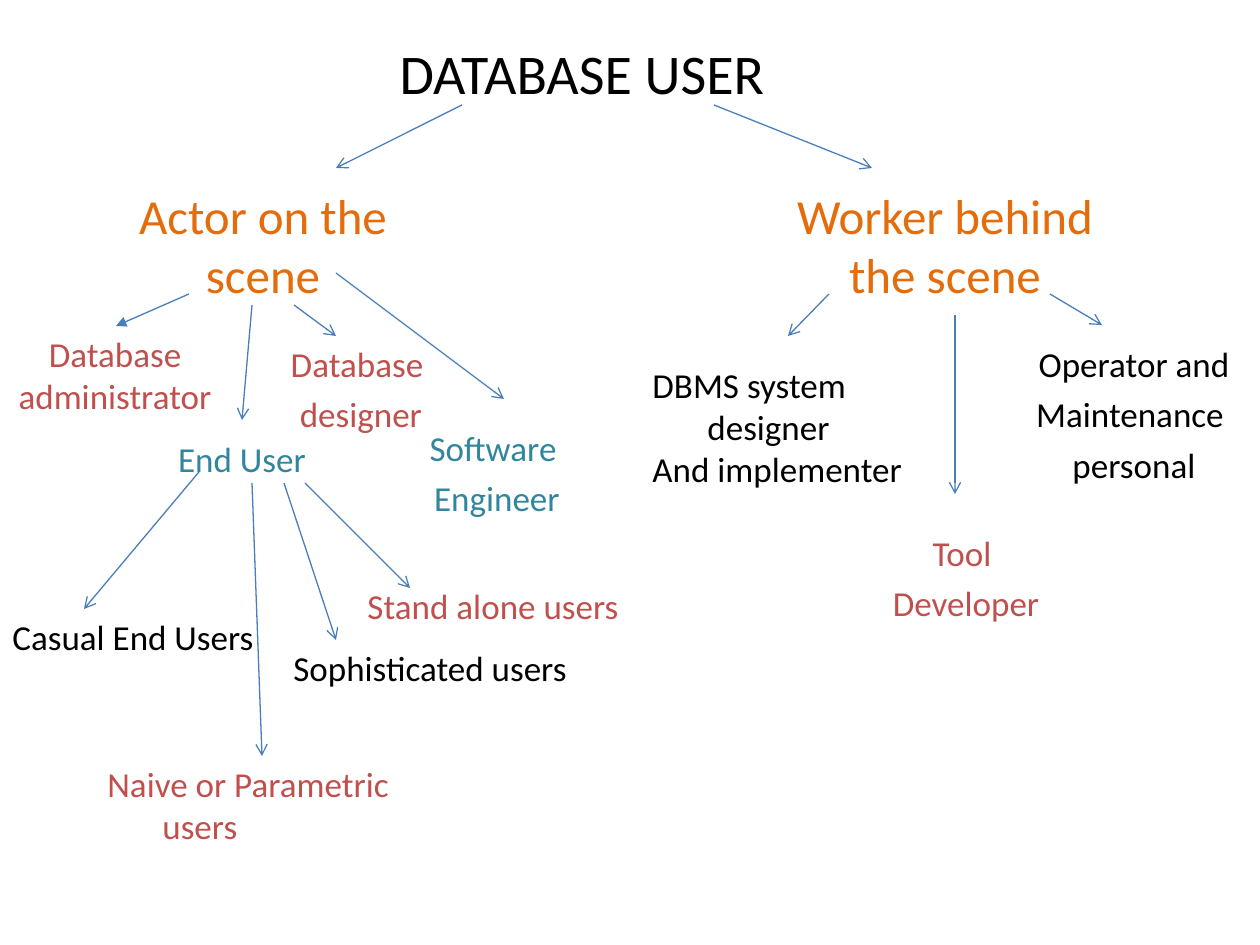
from lxml.etree import SubElement
from pptx import Presentation
from pptx.dml.color import RGBColor
from pptx.enum.shapes import MSO_CONNECTOR as Connector
from pptx.enum.text import PP_ALIGN as Align
from pptx.oxml.ns import qn
from pptx.util import Emu, Pt

PX = 914400 / 126
LABEL_W, LABEL_H = 336, 105
HANG = 55
BLACK, ORANGE, RED, TEAL, BLUE = "000000", "E46C0A", "C0504D", "31859C", "4A7EBB"


def px(length):
    """Turn px into EMU."""
    return Emu(round(length * PX))


def color(hex_string):
    """Turn a hex string into a colour."""
    return RGBColor.from_string(hex_string)


def add_label(slide, origin, offset, lines, ink, size=20, hanging=False, width=LABEL_W):
    """Place a label, centred or with a hanging indent, at an offset from its region."""
    left, top = (a + b for a, b in zip(origin, offset))
    frame = slide.shapes.add_textbox(px(left), px(top), px(width), px(LABEL_H)).text_frame
    frame.word_wrap = True
    frame.text = "\n".join(lines)
    for index, paragraph in enumerate(frame.paragraphs):
        if hanging:
            properties = paragraph._p.get_or_add_pPr()
            properties.set("marL", str(px(HANG)))
            properties.set("indent", str(px(-HANG)))
        else:
            paragraph.alignment = Align.CENTER
            if index:
                paragraph.space_before = Pt(size / 4)
        paragraph.font.name = "Calibri"
        paragraph.font.size = Pt(size)
        paragraph.font.color.rgb = color(ink)


def add_arrow(slide, origin, x1, y1, x2, y2, head="arrow"):
    """Draw an arrow between two points relative to its region."""
    left, top = origin
    arrow = slide.shapes.add_connector(
        Connector.STRAIGHT, px(left + x1), px(top + y1), px(left + x2), px(top + y2))
    arrow.line.color.rgb = color(BLUE)
    arrow.line.width = Pt(0.75)
    SubElement(arrow.line._get_or_add_ln(), qn("a:tailEnd"), type=head)
    SubElement(arrow._element.spPr, qn("a:effectLst"))


def add_title(slide, origin):
    """Build the root of the tree and its two branches."""
    add_label(slide, origin, (0, 0), ["DATABASE USER"], BLACK, size=32, width=514)
    for ends in [(389, 73, 547, 136), (137, 73, 11, 136)]:
        add_arrow(slide, origin, *ends)


def add_actors(slide, origin):
    """Build the actors on the scene."""
    add_label(slide, origin, (95, 0), ["Actor on the scene"], ORANGE, size=28)
    for offset, lines, ink in [
        ((-53, 147), ["Database administrator"], RED),
        ((189, 157), ["Database", " designer"], RED),
        ((325, 241), ["Software", " Engineer"], TEAL),
    ]:
        add_label(slide, origin, offset, lines, ink)
    add_arrow(slide, origin, 189, 115, 116, 147, head="triangle")
    for ends in [(252, 126, 242, 241), (294, 126, 336, 157), (336, 94, 504, 220)]:
        add_arrow(slide, origin, *ends)


def add_end_users(slide, origin):
    """Build the kinds of end user."""
    for offset, line, ink, hanging in [
        ((74, 0), "End User", TEAL, False),
        ((0, 178), "Casual End Users", BLACK, True),
        ((325, 147), "Stand alone users", RED, False),
        ((262, 209), "Sophisticated users", BLACK, False),
        ((95, 325), "Naive or Parametric users", RED, True),
    ]:
        add_label(slide, origin, offset, [line], ink, hanging=hanging)
    for ends in [(199, 41, 84, 178), (252, 52, 262, 325),
                 (284, 52, 336, 209), (305, 52, 410, 157)]:
        add_arrow(slide, origin, *ends)


def add_workers(slide, origin):
    """Build the workers behind the scene."""
    add_label(slide, origin, (137, 0), ["Worker behind the scene"], ORANGE, size=28)
    for offset, lines, ink, hanging in [
        ((0, 178), ["DBMS system designer", "And implementer"], BLACK, True),
        ((158, 346), ["Tool ", "Developer"], RED, False),
        ((326, 157), ["Operator and", "Maintenance ", "personal"], BLACK, False),
    ]:
        add_label(slide, origin, offset, lines, ink, hanging=hanging)
    for ends in [(189, 115, 148, 157), (315, 136, 315, 315), (410, 115, 462, 146)]:
        add_arrow(slide, origin, *ends)


def main():
    """Build the slide and save it."""
    deck = Presentation()
    deck.slide_width, deck.slide_height = px(1260), px(945)
    slide = deck.slides.add_slide(deck.slide_layouts[6])
    add_title(slide, (325, 32))
    add_actors(slide, (0, 179))
    add_end_users(slide, (0, 431))
    add_workers(slide, (640, 179))
    deck.save("out.pptx")


if __name__ == "__main__":
    main()
